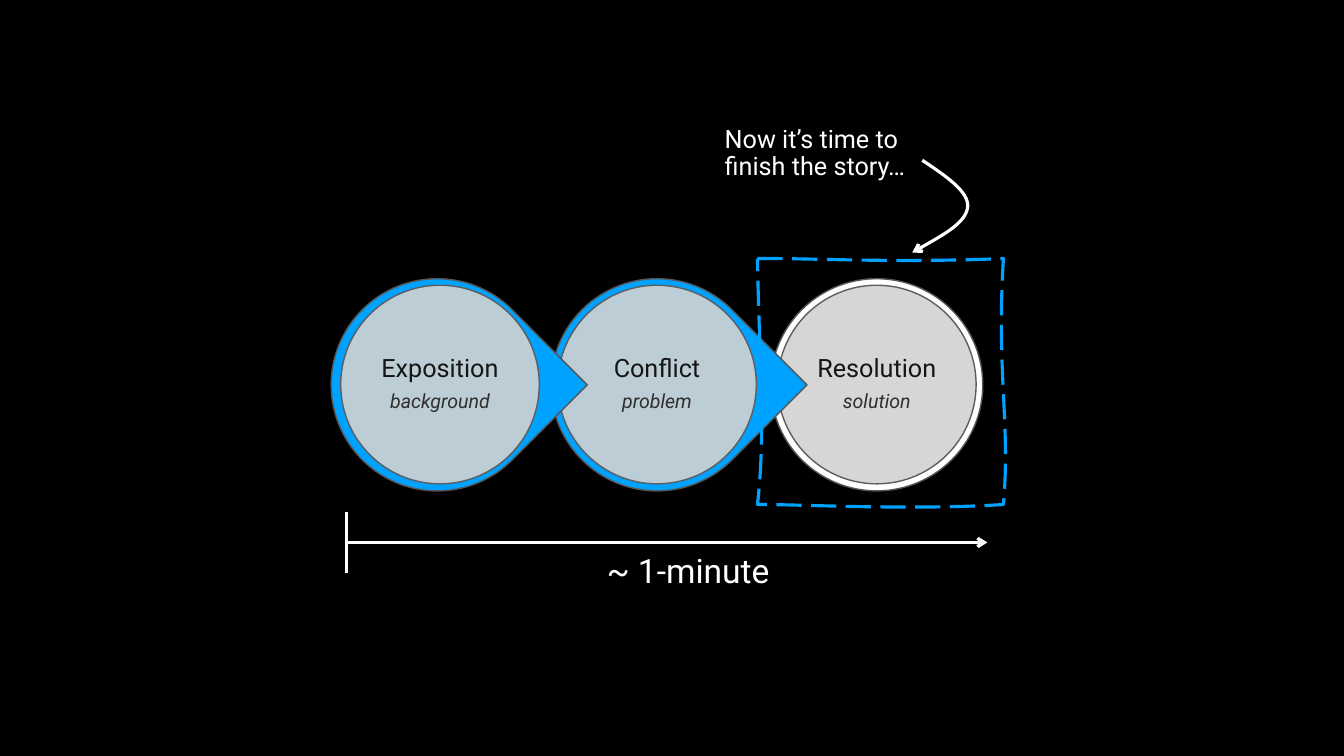
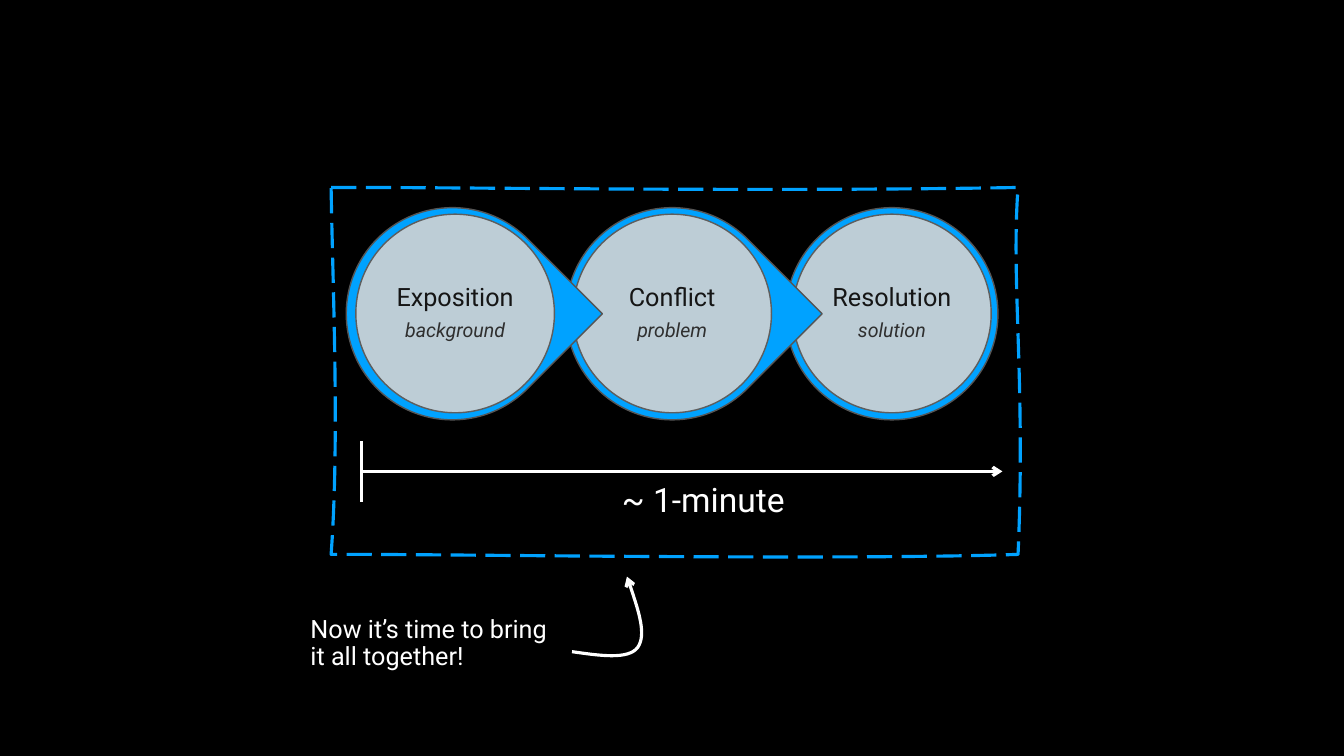
from pptx import Presentation
from pptx.dml.color import RGBColor
from pptx.enum.dml import MSO_LINE
from pptx.enum.shapes import MSO_CONNECTOR, MSO_SHAPE
from pptx.enum.text import MSO_ANCHOR, MSO_AUTO_SIZE, PP_ALIGN
from pptx.oxml.ns import qn
from pptx.util import Inches, Pt
from lxml.etree import SubElement

COLORS = {
    "back": "000000", "white": "FFFFFF", "blue": "00A2FF",
    "ring_line": "555555", "disc": "D2D2D2", "disc_line": "5E5E5E",
    "stage": "151515", "role": "2F2F2F",
}
FONT = "Roboto"
WIDTH, HEIGHT = Inches(26.67), Inches(15)
COLS, ROWS = 80, 45

# Story diagram, in grid units
STAGES = [("Exposition", "background"), ("Conflict", "problem"), ("Resolution", "solution")]
PITCH, RING, DISC, LABEL = 13.08, 12.63, 11.82, 8.43
CALLOUT = (14.64, 5.49)


def rgb(name):
    return RGBColor.from_string(COLORS[name])


class Deck:
    def __init__(self):
        self.prs = Presentation()
        self.prs.slide_width, self.prs.slide_height = WIDTH, HEIGHT
        self.s = None

    def x(self, cols):
        return round(cols * WIDTH / COLS)

    def y(self, rows):
        return round(rows * HEIGHT / ROWS)

    def box(self, left, top, width, height):
        return self.x(left), self.y(top), self.x(width), self.y(height)

    def slide(self):
        self.s = self.prs.slides.add_slide(self.prs.slide_layouts[6])
        fill = self.s.background.fill
        fill.solid()
        fill.fore_color.rgb = rgb("back")

    def round_shape(self, kind, left, top, size, fill, line, rotation=0, opacity=None):
        sp = self.s.shapes.add_shape(kind, *self.box(left, top, size, size))
        sp.shadow.inherit = False
        sp.rotation = rotation
        sp.fill.solid()
        sp.fill.fore_color.rgb = rgb(fill)
        if opacity:
            color = sp._element.spPr.find(qn("a:solidFill")).find(qn("a:srgbClr"))
            SubElement(color, qn("a:alpha")).set("val", str(opacity * 1000))
        sp.line.color.rgb = rgb(line)
        sp.line.width = Pt(2)

    def text_frame(self, left, top, width, height, inset):
        tf = self.s.shapes.add_textbox(*self.box(left, top, width, height)).text_frame
        tf.word_wrap = True
        tf.vertical_anchor = MSO_ANCHOR.MIDDLE
        tf.margin_left = tf.margin_right = tf.margin_top = tf.margin_bottom = Inches(inset)
        return tf

    def run(self, p, text, size, color, italic=False):
        p.line_spacing = 0.9
        r = p.add_run()
        r.text = text
        r.font.name = FONT
        r.font.size = Pt(size)
        r.font.italic = italic
        r.font.color.rgb = rgb(color)

    def stage_label(self, left, top, stage, role):
        tf = self.text_frame(left, top, LABEL, LABEL, 0.05)
        lines = [(stage, 36, "stage", False), (role, 28, "role", True)]
        for i, (text, size, color, italic) in enumerate(lines):
            p = tf.add_paragraph() if i else tf.paragraphs[0]
            p.alignment = PP_ALIGN.CENTER
            p.space_after = Pt(size * 0.35)
            self.run(p, text, size, color, italic)

    def note(self, left, top, width, height, text, size=36, align=PP_ALIGN.LEFT):
        tf = self.text_frame(left, top, width, height, 0.06)
        tf.auto_size = MSO_AUTO_SIZE.SHAPE_TO_FIT_TEXT
        p = tf.paragraphs[0]
        p.alignment = align
        p.space_before = Pt(45)
        self.run(p, text, size, "white")

    def stroke(self, sp, color, dashed=False, arrow=False):
        sp.line.color.rgb = rgb(color)
        sp.line.width = Pt(4.5)
        if dashed:
            sp.line.dash_style = MSO_LINE.LONG_DASH
        if arrow:
            SubElement(sp._element.spPr.find(qn("a:ln")), qn("a:tailEnd")).set("type", "arrow")

    def line(self, x1, y1, x2, y2, arrow=False):
        cn = self.s.shapes.add_connector(
            MSO_CONNECTOR.STRAIGHT, self.x(x1), self.y(y1), self.x(x2), self.y(y2))
        self.stroke(cn, "white", arrow=arrow)
        SubElement(cn._element.spPr, qn("a:effectLst"))

    def curve(self, points, color, closed=False, **style):
        """Draw cubic curves: a start point, then two controls and an end each."""
        start, *rest = [(self.x(x), self.y(y)) for x, y in points]
        builder = self.s.shapes.build_freeform(*start)
        builder.add_line_segments(rest, close=closed)
        sp = builder.convert_to_shape()
        # Turn every three straight segments into one cubic curve
        segments = list(sp._element.spPr.iter(qn("a:lnTo")))
        for i in range(0, len(segments), 3):
            first, *others = segments[i:i + 3]
            first.tag = qn("a:cubicBezTo")
            for other in others:
                first.append(other[0])
                other.getparent().remove(other)
        sp.shadow.inherit = False
        sp.fill.background()
        self.stroke(sp, color, **style)

    def frame(self, points):
        self.curve(points + points[:1], "blue", closed=True, dashed=True)

    def story(self, left, top, last_ring):
        # Stages, last one at the back
        for i, (stage, role) in reversed(list(enumerate(STAGES))):
            ring_x = left + i * PITCH
            disc_x, disc_y = ring_x + (0.41 if i else 0.57), top + 0.39
            if i == len(STAGES) - 1:
                self.round_shape(MSO_SHAPE.OVAL, ring_x, top, RING, last_ring, "ring_line")
            else:
                self.round_shape(MSO_SHAPE.TEAR, ring_x, top, RING, "blue", "ring_line", 45)
            self.round_shape(MSO_SHAPE.OVAL, disc_x, disc_y, DISC, "disc", "disc_line",
                             opacity=90)
            inset = (DISC - LABEL) / 2
            self.stage_label(disc_x + inset, disc_y + inset, stage, role)
        # Timeline
        self.note(left + 12.36, top + 15.3, 17.79, 4.41, "~ 1-minute", 48, PP_ALIGN.CENTER)
        tick = left + 0.93
        self.line(tick, top + 13.89, tick, top + 17.52)
        self.line(tick, top + 15.7, left + 39.06, top + 15.7, arrow=True)


def main():
    deck = Deck()

    # Finish the story
    deck.slide()
    deck.story(19.71, 16.59, "white")
    deck.frame([
        (45.09, 15.39), (48.51, 15.36), (52.98, 15.66),
        (59.73, 15.39), (59.31, 22.26), (60.15, 25.14),
        (59.73, 30.03), (54.24, 30.39), (47.04, 30),
        (45.09, 30.03), (45.6, 25.56), (45.18, 21.33)])
    deck.note(42.96, 6.42, *CALLOUT, "Now it’s time to finish the story…")
    deck.curve([
        (54.9, 9.54), (56.28, 10.47), (57.69, 11.4), (57.6, 12.33),
        (57.48, 13.26), (55.89, 14.13), (54.3, 15.03)], "white", arrow=True)

    # Bring it all together
    deck.slide()
    deck.story(20.61, 12.36, "blue")
    deck.frame([
        (19.71, 11.16), (26.16, 11.13), (45.39, 11.43),
        (60.6, 11.16), (60.18, 16.8), (61.05, 22.65),
        (60.6, 33), (50.07, 33.36), (25.68, 32.97),
        (19.71, 33), (20.22, 26.1), (19.8, 17.07)])
    deck.note(18.3, 35.58, *CALLOUT, "Now it’s time to bring it all together!")
    deck.curve([
        (34.05, 38.79), (35.73, 39.03), (37.38, 39.27), (37.95, 38.55),
        (38.49, 37.8), (37.92, 36.06), (37.32, 34.32)], "white", arrow=True)

    deck.prs.save("out.pptx")


if __name__ == "__main__":
    main()
